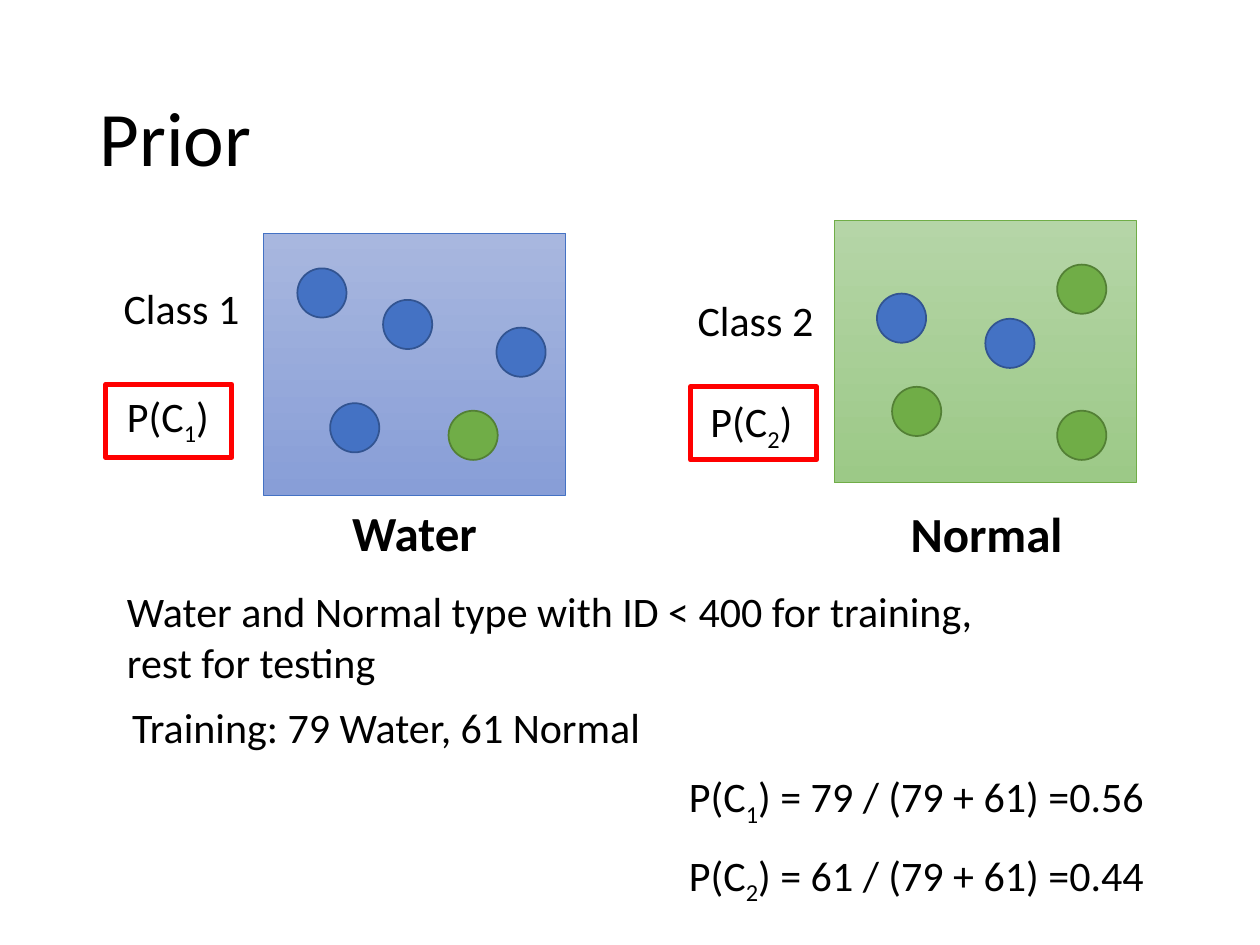
from pptx import Presentation
from pptx.dml.color import RGBColor
from pptx.enum.shapes import MSO_SHAPE
from pptx.enum.text import MSO_ANCHOR, MSO_AUTO_SIZE, PP_ALIGN
from pptx.util import Inches, Pt

RECT, OVAL = MSO_SHAPE.RECTANGLE, MSO_SHAPE.OVAL
LEFT, CENTER = PP_ALIGN.LEFT, PP_ALIGN.CENTER
MIDDLE, GROW = MSO_ANCHOR.MIDDLE, MSO_AUTO_SIZE.SHAPE_TO_FIT_TEXT

BLACK = RGBColor(0x00, 0x00, 0x00)
RED = RGBColor(0xFF, 0x00, 0x00)
BLUE = RGBColor(0x44, 0x72, 0xC4)
BLUE_EDGE = RGBColor(0x32, 0x54, 0x91)
BLUE_TOP = RGBColor(0xA8, 0xB7, 0xDF)
BLUE_BOTTOM = RGBColor(0x88, 0x9E, 0xD7)
GREEN = RGBColor(0x70, 0xAD, 0x47)
GREEN_EDGE = RGBColor(0x53, 0x80, 0x35)
GREEN_TOP = RGBColor(0xB5, 0xD5, 0xA7)
GREEN_BOTTOM = RGBColor(0x9C, 0xC9, 0x87)

# Content: positions and sizes in inches
TITLE = "Prior"
BOX_SIZE, FRAME_SIZE, BALL = (2.4, 2.08), (1, 0.58), 0.39

BOXES = [  # left, top, gradient top, gradient bottom, line
    (2.09, 1.85, BLUE_TOP, BLUE_BOTTOM, BLUE),
    (6.62, 1.75, GREEN_TOP, GREEN_BOTTOM, GREEN),
]
BALLS = [  # fill, line, positions
    (BLUE, BLUE_EDGE, [(2.36, 2.13), (3.04, 2.38), (2.62, 3.2), (3.94, 2.6),
                       (6.96, 2.33), (7.82, 2.53)]),
    (GREEN, GREEN_EDGE, [(8.39, 3.26), (7.08, 3.07), (8.39, 2.1), (3.56, 3.26)]),
]
FRAMES = [(0.84, 3.05), (5.48, 3.07)]

LABEL = {"size": Pt(24), "bold": False}
NAME = {"size": Pt(28), "bold": True}
CENTERED = {"alignment": CENTER}
PLAIN = {"alignment": LEFT}
INDENTED = {"alignment": LEFT, "level": 1}

# Each text is a list of runs; every second run is a subscript
TEXTS = [  # left, top, width, height, wrap, runs, font, paragraph
    (0.79, 2.19, 1.3, 0.5, True, ["Class 1"], LABEL, CENTERED),
    (5.37, 2.29, 1.25, 0.5, True, ["Class 2"], LABEL, CENTERED),
    (0.91, 3.05, 0.87, 0.5, False, ["P(C", "1", ")"], LABEL, PLAIN),
    (5.54, 3.09, 0.87, 0.5, False, ["P(C", "2", ")"], LABEL, PLAIN),
    (2.51, 3.94, 1.56, 0.57, True, ["Water"], NAME, CENTERED),
    (7.05, 3.95, 1.56, 0.57, True, ["Normal"], NAME, CENTERED),
    (0.91, 4.6, 6.96, 0.91, True,
     ["Water and Normal type with ID < 400 for training, rest for testing"],
     LABEL, PLAIN),
    (0.45, 5.52, 4.77, 0.5, False, ["Training: 79 Water, 61 Normal"],
     LABEL, INDENTED),
    (5.37, 6.07, 4.6, 0.5, True, ["P(C", "1", ") = 79 / (79 + 61) =0.56"],
     LABEL, PLAIN),
    (5.37, 6.69, 4.43, 0.5, True, ["P(C", "2", ") = 61 / (79 + 61) =0.44"],
     LABEL, PLAIN),
]


def set_all(obj, values):
    for name, value in values.items():
        setattr(obj, name, value)


def write(p, runs, font, para):
    set_all(p, para)
    for i, text in enumerate(runs):
        r = p.add_run()
        r.text = text
        set_all(r.font, {"name": "Calibri", **font})
        r.font.color.rgb = BLACK
        if i % 2:
            r._r.get_or_add_rPr().set("baseline", "-25000")


def add_outlined(shapes, kind, left, top, size, line, weight):
    sp = shapes.add_shape(kind, *map(Inches, (left, top, *size)))
    sp.shadow.inherit = False
    sp.line.color.rgb = line
    sp.line.width = Pt(weight)
    return sp


def main():
    prs = Presentation()
    prs.slide_width, prs.slide_height = Inches(10), Inches(7.5)
    slide = prs.slides.add_slide(prs.slide_layouts[5])
    shapes = slide.shapes

    # Title
    title = shapes.title
    set_all(title, {"left": Inches(0.69), "top": Inches(0.4),
                    "width": Inches(8.62), "height": Inches(1.45)})
    title.text_frame.vertical_anchor = MIDDLE
    write(title.text_frame.paragraphs[0], [TITLE], {"size": Pt(44)},
          {"alignment": LEFT, "line_spacing": 0.9})

    # Class boxes
    for left, top, start, end, line in BOXES:
        sp = add_outlined(shapes, RECT, left, top, BOX_SIZE, line, 0.5)
        sp.fill.gradient()
        sp.fill.gradient_angle = 270
        for stop, color, position in zip(sp.fill.gradient_stops, (start, end), (0, 1)):
            stop.color.rgb = color
            stop.position = position

    # Balls
    for fill, line, places in BALLS:
        for left, top in places:
            sp = add_outlined(shapes, OVAL, left, top, (BALL, BALL), line, 1)
            sp.fill.solid()
            sp.fill.fore_color.rgb = fill

    # Labels and formulas
    for left, top, width, height, wrap, runs, font, para in TEXTS:
        box = shapes.add_textbox(*map(Inches, (left, top, width, height)))
        set_all(box.text_frame, {"word_wrap": wrap, "auto_size": GROW})
        write(box.text_frame.paragraphs[0], runs, font, para)

    # Red frames around the priors
    for left, top in FRAMES:
        add_outlined(shapes, RECT, left, top, FRAME_SIZE, RED, 3).fill.background()

    prs.save("out.pptx")


if __name__ == "__main__":
    main()
